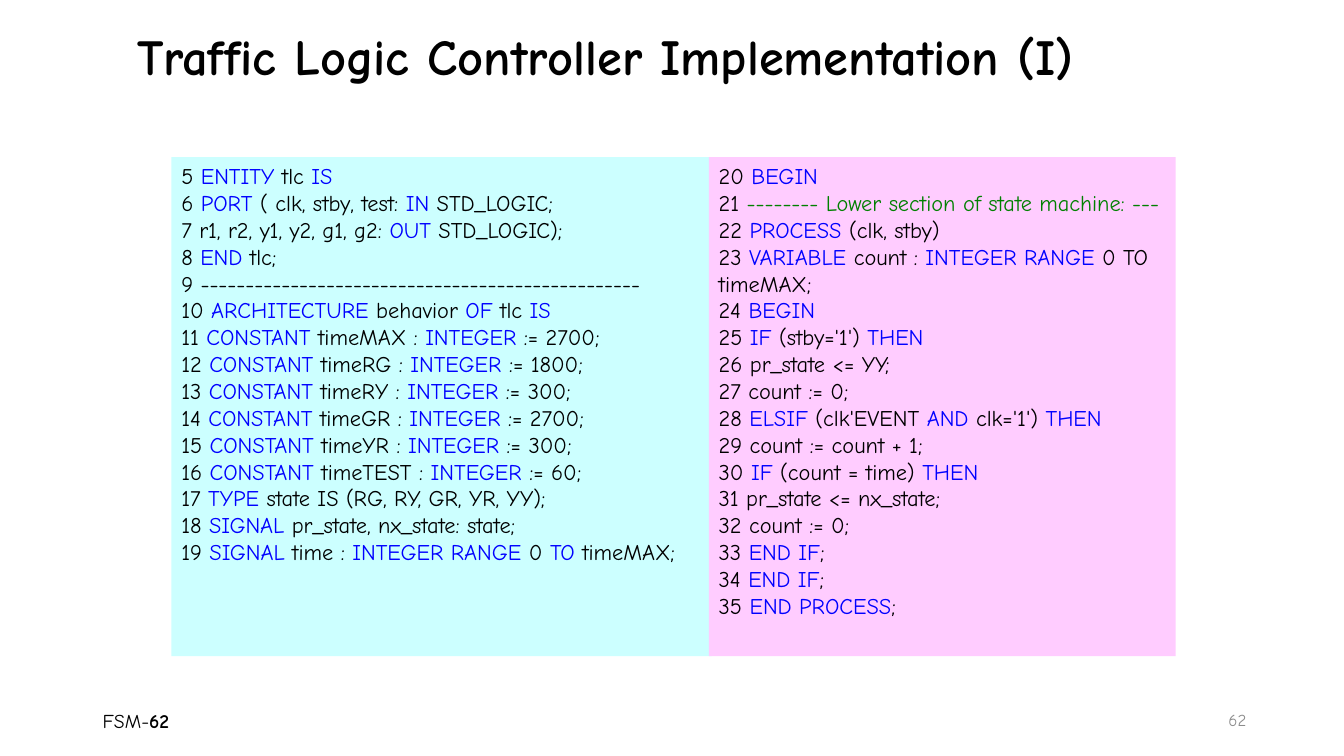
"""Builds the slide on the VHDL code of a traffic light controller."""
import pptx
import pptx.dml.color
import pptx.enum.shapes
import pptx.enum.text
import pptx.util
from pptx.util import Inches

FONT = "Comic Neue"
BLACK, BLUE, GREEN, GRAY = "000000", "0000FF", "008000", "8C8C8C"
ALIGN = pptx.enum.text.PP_ALIGN
ANCHOR = pptx.enum.text.MSO_ANCHOR


def color(value):
    return pptx.dml.color.RGBColor.from_string(value)


def style(paragraph, size, value=BLACK, align=ALIGN.LEFT):
    paragraph.alignment = align
    paragraph.font.name = FONT
    paragraph.font.size = pptx.util.Pt(size)
    paragraph.font.color.rgb = color(value)


presentation = pptx.Presentation()
presentation.slide_width = Inches(13.33)
presentation.slide_height = Inches(7.5)
slide = presentation.slides.add_slide(presentation.slide_layouts[5])

title = slide.shapes.title
title.left, title.top = Inches(1.26), Inches(0.3)
title.width, title.height = Inches(10.87), Inches(0.57)
title.text_frame.text = "Traffic Logic Controller Implementation (I)"
title.text_frame.auto_size = pptx.enum.text.MSO_AUTO_SIZE.NONE
title.text_frame.vertical_anchor = ANCHOR.MIDDLE
heading = title.text_frame.paragraphs[0]
style(heading, 36)
heading.font.bold = True
heading.line_spacing = 0.9

# Between bars stand the highlighted parts of each line.
declarations = """\
5 |ENTITY |tlc |IS
6 |PORT| ( clk, stby, test: |IN| STD_LOGIC;
7 r1, r2, y1, y2, g1, g2: |OUT| STD_LOGIC);
8 |END |tlc;
9 -------------------------------------------------
10 |ARCHITECTURE| behavior |OF |tlc |IS
11 |CONSTANT |timeMAX : |INTEGER| := 2700;
12 |CONSTANT |timeRG : |INTEGER| := 1800;
13 |CONSTANT |timeRY : |INTEGER| := 300;
14 |CONSTANT |timeGR : |INTEGER| := 2700;
15 |CONSTANT |timeYR : |INTEGER| := 300;
16 |CONSTANT |timeTEST : |INTEGER| := 60;
17 |TYPE| state IS (RG, RY, GR, YR, YY);
18 |SIGNAL |pr_state, nx_state: state;
19 |SIGNAL| time : |INTEGER RANGE| 0 |TO |timeMAX;"""

lower_section = """\
20 |BEGIN
21 |-------- Lower section of state machine: ---
22 |PROCESS| (clk, stby)
23 |VARIABLE| count : |INTEGER RANGE| 0 TO timeMAX;
24 |BEGIN
25 |IF| (stby='1') |THEN
26 pr_state <= YY;
27 count := 0;
28 |ELSIF| (clk'EVENT |AND |clk='1') |THEN
29 count := count + 1;
30 |IF| (count = time) |THEN
31 pr_state <= nx_state;
32 count := 0;
33 |END IF|;
34 |END IF|;
35 |END PROCESS|;"""

panels = [
    (1.7, 5.36, "CCFFFF", declarations),
    (7.03, 4.63, "FFCCFF", lower_section),
]
for left, width, fill, code in panels:
    panel = slide.shapes.add_shape(
        pptx.enum.shapes.MSO_SHAPE.RECTANGLE,
        Inches(left), Inches(1.56), Inches(width), Inches(4.95))
    panel.shadow.inherit = False
    panel.fill.solid()
    panel.fill.fore_color.rgb = color(fill)
    panel.line.fill.background()
    frame = panel.text_frame
    frame.word_wrap = True
    frame.vertical_anchor = ANCHOR.TOP
    for number, line in enumerate(code.splitlines()):
        paragraph = frame.add_paragraph() if number else frame.paragraphs[0]
        style(paragraph, 16)
        for index, part in enumerate(line.split("|")):
            run = paragraph.add_run()
            run.text = part
            if index % 2:
                run.font.color.rgb = color(GREEN if part.startswith("--") else BLUE)

footers = [
    (0.92, 6.95, ["FSM-", "62"], 14, BLACK, ALIGN.LEFT),
    (9.46, 6.94, ["62"], 12, GRAY, ALIGN.RIGHT),
]
for left, top, parts, size, value, align in footers:
    footer = slide.shapes.add_textbox(Inches(left), Inches(top), Inches(3), Inches(0.4))
    footer.text_frame.word_wrap = True
    footer.text_frame.vertical_anchor = ANCHOR.MIDDLE
    paragraph = footer.text_frame.paragraphs[0]
    style(paragraph, size, value, align)
    for index, part in enumerate(parts):
        run = paragraph.add_run()
        run.text = part
        if index:
            run.font.bold = True

presentation.save("out.pptx")
